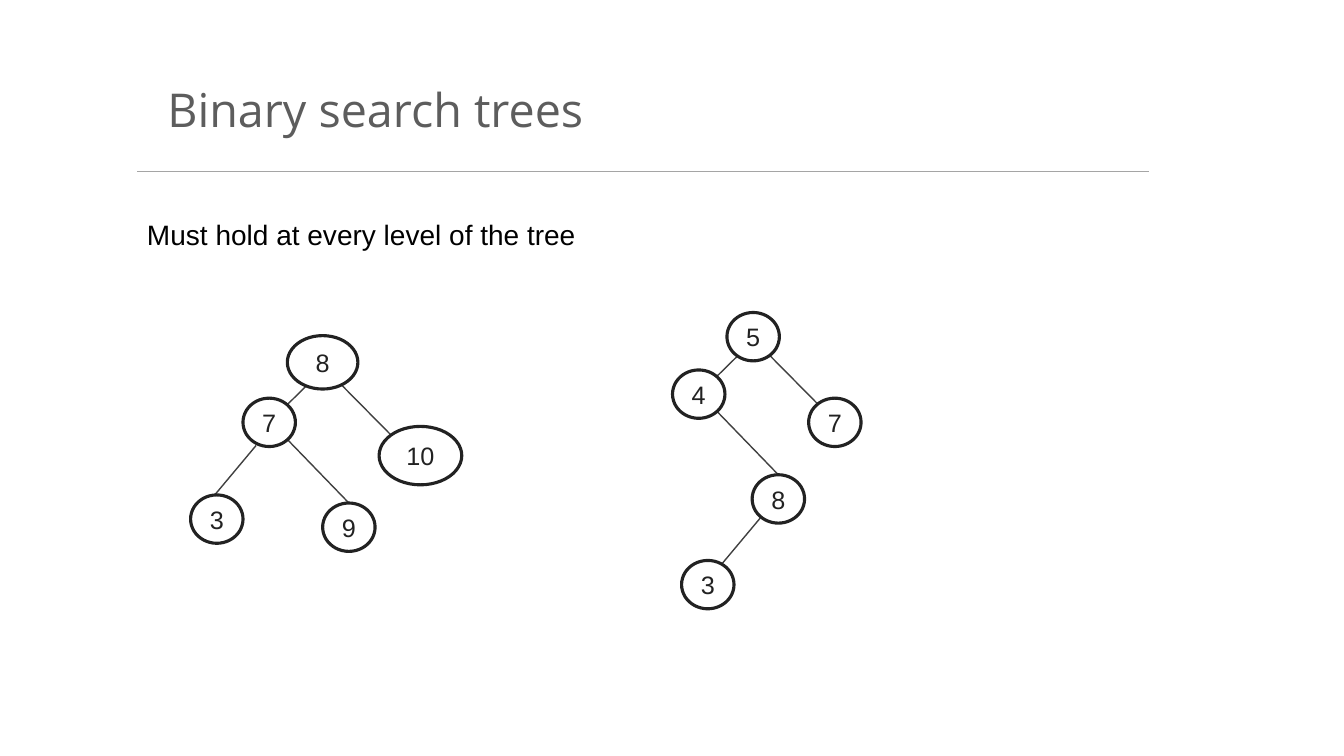
from lxml import etree
from pptx import Presentation
from pptx.dml.color import RGBColor
from pptx.enum import shapes, text
from pptx.oxml.ns import qn
from pptx.util import Inches, Pt

TITLE = "Binary search trees"
STATEMENT = "Must hold at every level of the tree"
COLORS = {"title": "5D5D5D", "rule": "A5A5A5", "body": "000000",
          "edge": "404040", "node": "222222", "fill": "FFFFFF"}
NODE_SIZE = (0.52, 0.48)
BRANCHES = [((-0.61, 0.6), (0, 0)), ((0.81, 0.86), (-0.01, 0.03)),
            ((-0.39, 0.73), (0.22, 1.36))]
LEAF_BRANCH = (0.41, -0.49)
TREES = [
    {"root": (7.5, 3.35), "leaf": (7.13, 5.63),
     "nodes": [("8", 7.46, 4.71, NODE_SIZE), ("5", 7.21, 3.1, NODE_SIZE),
               ("4", 6.67, 3.67, NODE_SIZE), ("7", 8.02, 3.95, NODE_SIZE),
               ("3", 6.76, 5.56, NODE_SIZE)]},
    {"root": (3.24, 3.63), "leaf": (2.13, 4.91),
     "nodes": [("9", 3.2, 4.99, NODE_SIZE), ("8", 2.85, 3.33, (0.7, 0.53)),
               ("7", 2.41, 3.95, NODE_SIZE), ("10", 3.76, 4.23, (0.82, 0.58)),
               ("3", 1.89, 4.91, NODE_SIZE)]},
]


def color(name):
    return RGBColor.from_string(COLORS[name])


def add_line(slide, start, end, color_name):
    points = [Inches(value) for value in (*start, *end)]
    line = slide.shapes.add_connector(shapes.MSO_CONNECTOR.STRAIGHT, *points)
    line.line.color.rgb = color(color_name)
    line.line.width = Pt(1)
    etree.SubElement(line._element.spPr, qn("a:effectLst"))


def write(paragraph, words, size, font, color_name):
    run = paragraph.add_run()
    run.text = words
    run.font.size = Pt(size)
    run.font.name = font
    run.font.color.rgb = color(color_name)


def add_text(slide, box, words, size, font, color_name):
    shape = slide.shapes.add_textbox(*[Inches(value) for value in box])
    shape.text_frame.word_wrap = True
    write(shape.text_frame.paragraphs[0], words, size, font, color_name)
    return shape.text_frame


def add_title(slide):
    frame = add_text(slide, (1.36, 0.78, 9.17, 0.71), TITLE, 33.3, "Open Sans", "title")
    frame.vertical_anchor = text.MSO_ANCHOR.MIDDLE
    frame.margin_left = frame.margin_right = Inches(0.05)
    frame.margin_top = frame.margin_bottom = Inches(0.05)
    paragraph = frame.paragraphs[0]
    paragraph.line_spacing = 0.8
    paragraph.space_before = Pt(10)
    properties = paragraph._p.get_or_add_pPr()
    properties.set("marL", str(Inches(0.5)))
    properties.set("indent", str(Inches(-0.25)))


def add_node(slide, label, left, top, size):
    box = [Inches(value) for value in (left, top, *size)]
    node = slide.shapes.add_shape(shapes.MSO_SHAPE.OVAL, *box)
    node.shadow.inherit = False
    node.fill.solid()
    node.fill.fore_color.rgb = color("fill")
    node.line.color.rgb = color("node")
    node.line.width = Pt(2.25)
    frame = node.text_frame
    frame.margin_left = frame.margin_right = 0
    frame.vertical_anchor = text.MSO_ANCHOR.MIDDLE
    paragraph = frame.paragraphs[0]
    paragraph.alignment = text.PP_ALIGN.CENTER
    write(paragraph, label, 18, "Arial", "node")


def shift(origin, offset):
    return origin[0] + offset[0], origin[1] + offset[1]


def add_tree(slide, tree):
    for start, end in BRANCHES:
        add_line(slide, shift(tree["root"], start), shift(tree["root"], end), "edge")
    add_line(slide, tree["leaf"], shift(tree["leaf"], LEAF_BRANCH), "edge")
    for node in tree["nodes"]:
        add_node(slide, *node)


def main():
    presentation = Presentation()
    presentation.slide_width = Inches(13.33)
    presentation.slide_height = Inches(7.5)
    slide = presentation.slides.add_slide(presentation.slide_layouts[6])
    add_line(slide, (1.36, 1.7), (11.4, 1.7), "rule")
    add_title(slide)
    statement = add_text(slide, (1.36, 2.11, 9.17, 0.44), STATEMENT, 20, "Arial", "body")
    statement.auto_size = text.MSO_AUTO_SIZE.SHAPE_TO_FIT_TEXT
    for tree in TREES:
        add_tree(slide, tree)
    presentation.save("out.pptx")


if __name__ == "__main__":
    main()
